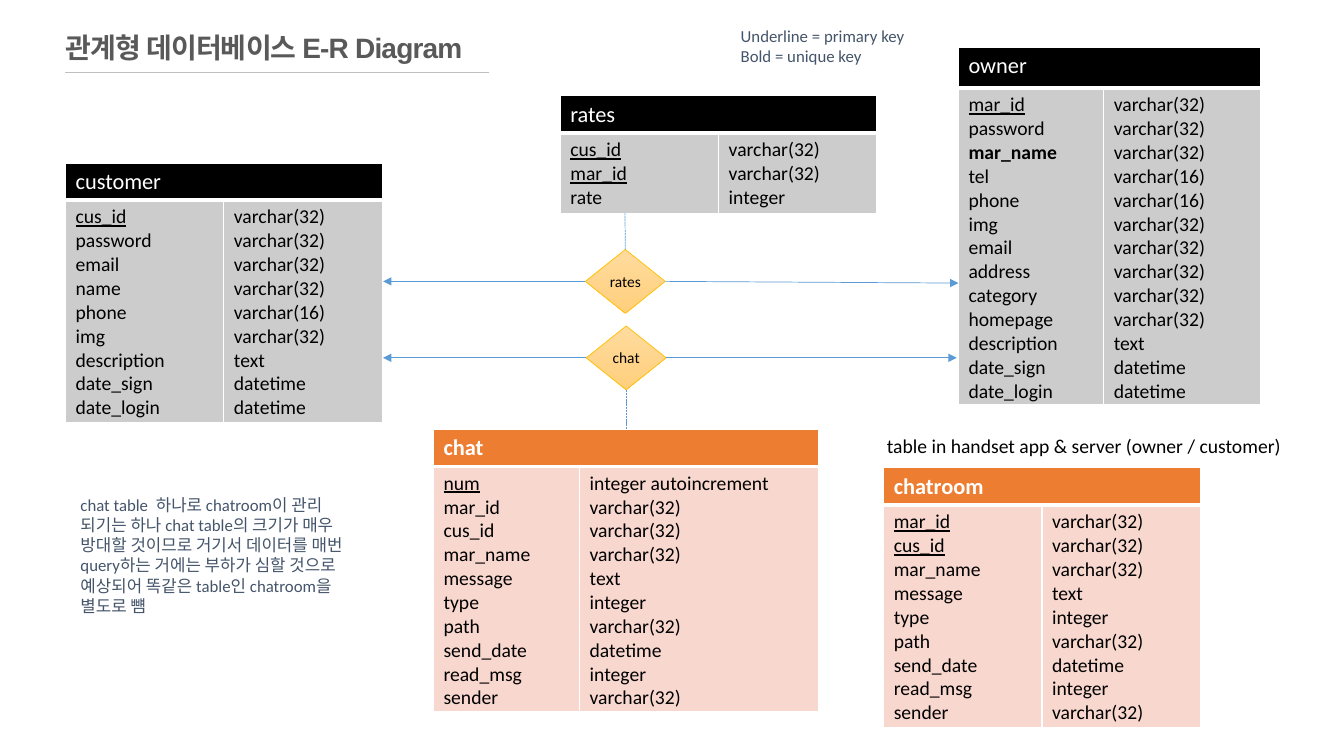
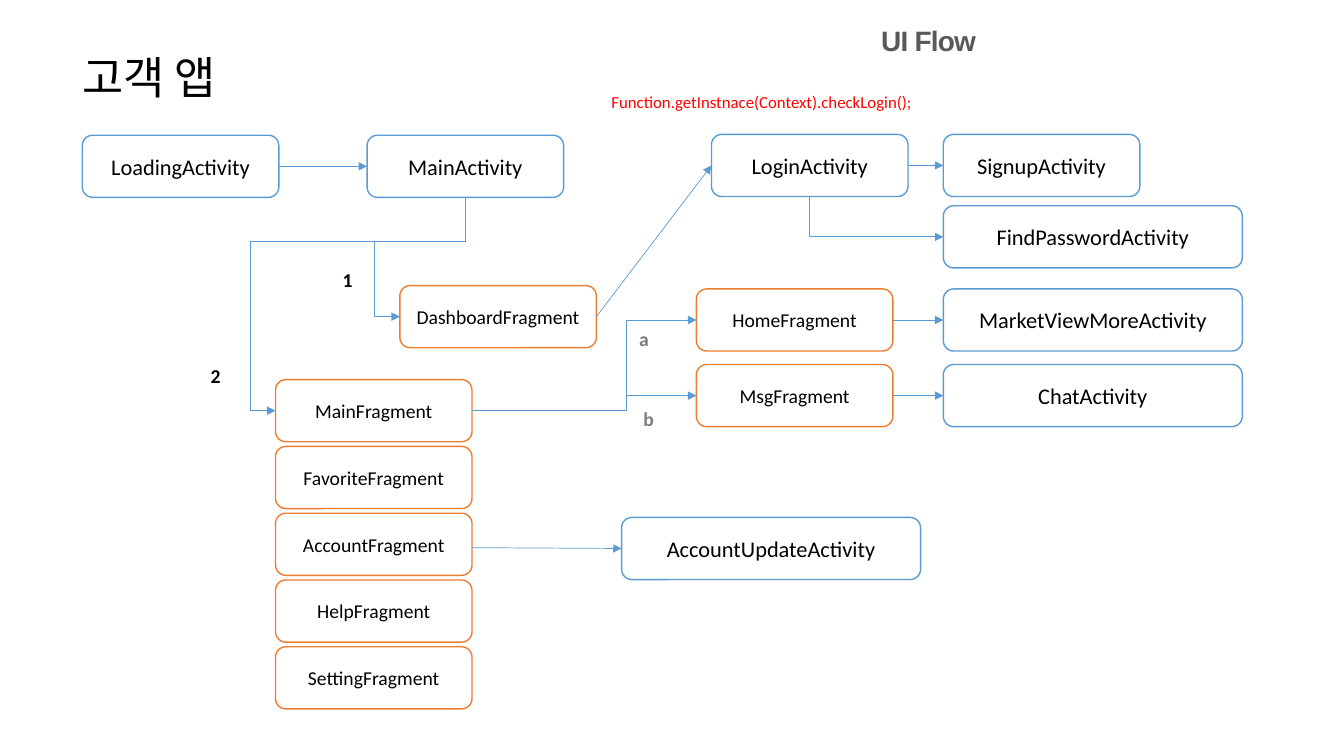
"""Builds the E-R diagram and the UI flow on a grid of 160 columns by 90 rows."""
from dataclasses import dataclass

from lxml.etree import SubElement as Sub
from pptx import Presentation as Deck
from pptx.dml.color import RGBColor as Rgb
from pptx.enum.dml import MSO_LINE as Dash
from pptx.enum.shapes import MSO_CONNECTOR as Link, MSO_SHAPE as Form
from pptx.enum.text import MSO_ANCHOR as Anchor, PP_ALIGN as Align
from pptx.oxml.ns import qn
from pptx.util import Inches, Pt

TOP, LEFT, BOTTOM, RIGHT = range(4)


@dataclass(frozen=True)
class Theme:
    sans: str = "Calibri"
    head: str = "Arial"
    white: str = "FFFFFF"
    black: str = "000000"
    blue: str = "5B9BD5"
    orange: str = "ED7D31"
    gold: str = "FFC000"
    pale: str = "FFDB9E"
    deep: str = "FFD07C"
    gray: str = "CCCCCC"
    pink: str = "F8D7CE"
    title: str = "595959"
    rule: str = "BFBFBF"
    note: str = "44546A"
    mute: str = "7C7C7C"
    red: str = "FF0000"
    huge: int = 32
    large: int = 20
    mid: int = 16
    body: int = 14
    small: int = 12
    tiny: int = 11


class Page:
    def __init__(self, deck, theme):
        self.deck, self.theme = deck, theme
        self.col = deck.slide_width / 160
        self.row = deck.slide_height / 90
        self.slide = None

    def new(self):
        self.slide = self.deck.slides.add_slide(self.deck.slide_layouts[6])

    def grid(self, x, y, w, h):
        return [round(n) for n in (x * self.col, y * self.row, w * self.col, h * self.row)]

    def run(self, para, text, size, color, bold=False, under=False, face=None):
        run = para.add_run()
        run.text = text
        font = run.font
        font.name, font.size = face or self.theme.sans, Pt(size)
        font.bold, font.underline = bold, under
        font.color.rgb = Rgb.from_string(color)
        return run

    def text(self, box, lines, size, color, **look):
        frame = self.slide.shapes.add_textbox(*self.grid(*box)).text_frame
        frame.word_wrap = True
        for i, line in enumerate(lines):
            para = frame.add_paragraph() if i else frame.paragraphs[0]
            self.run(para, line, size, color, **look)
        return frame

    def tight(self, frame):
        frame.margin_left = frame.margin_right = frame.margin_top = frame.margin_bottom = 0

    def title(self, x, y, text):
        t = self.theme
        frame = self.text((x, y, 51.6, 4), [text], t.large, t.title, bold=True, face=t.head)
        self.tight(frame)
        frame.paragraphs[0].runs[0].font._element.set("spc", "-60")

    def shape(self, form, box, text, size, edge, width):
        item = self.slide.shapes.add_shape(form, *self.grid(*box))
        item.shadow.inherit = False
        item.line.color.rgb = Rgb.from_string(edge)
        item.line.width = Pt(width)
        frame = item.text_frame
        frame.word_wrap = True
        frame.vertical_anchor = Anchor.MIDDLE
        para = frame.paragraphs[0]
        para.alignment = Align.CENTER
        self.run(para, text, size, self.theme.black)
        return item

    def box(self, x, y, text, edge, size, wide=23.4):
        item = self.shape(Form.ROUNDED_RECTANGLE, (x, y, wide, 7.4), text, size, edge, 1)
        item.fill.solid()
        item.fill.fore_color.rgb = Rgb.from_string(self.theme.white)
        return item

    def act(self, x, y, text, wide=23.4):
        return self.box(x, y, text, self.theme.blue, self.theme.mid, wide)

    def frag(self, x, y, text):
        return self.box(x, y, text, self.theme.orange, self.theme.body)

    def gem(self, x, y, text):
        t = self.theme
        item = self.shape(Form.DIAMOND, (x, y, 9.5, 7.6), text, t.tiny, t.gold, 0.5)
        self.tight(item.text_frame)
        item.fill.gradient()
        item.fill.gradient_angle = 270
        for stop, color in zip(item.fill.gradient_stops, (t.pale, t.deep)):
            stop.color.rgb = Rgb.from_string(color)
        return item

    def spot(self, end):
        first, second = end
        if isinstance(first, (int, float)):
            return self.grid(first, second, 0, 0)[:2]
        dx, dy = ((0.5, 0), (0, 0.5), (0.5, 1), (1, 0.5))[second]
        return [round(first.left + dx * first.width), round(first.top + dy * first.height)]

    def line(self, start, end, kind=Link.STRAIGHT, tail=True, dash=None, color=None):
        wire = self.slide.shapes.add_connector(kind, *self.spot(start), *self.spot(end))
        for spot, join in ((start, wire.begin_connect), (end, wire.end_connect)):
            if not isinstance(spot[0], (int, float)):
                join(*spot)
        wire.line.color.rgb = Rgb.from_string(color or self.theme.blue)
        wire.line.width = Pt(0.5)
        if dash:
            wire.line.dash_style = dash
        props = wire.element.spPr
        if tail:
            Sub(props.find(qn("a:ln")), qn("a:tailEnd"), type="triangle")
        Sub(props, qn("a:effectLst"))
        return wire

    def bend(self, wire, kind, *shares):
        geom = wire.element.spPr.find(qn("a:prstGeom"))
        geom.set("prst", kind)
        av = geom.find(qn("a:avLst"))
        if av is None:
            av = Sub(geom, qn("a:avLst"))
        for i, share in enumerate(shares, 1):
            Sub(av, qn("a:gd"), name=f"adj{i}", fmla=f"val {round(share * 100000)}")

    def drop(self, start, end, fall=5.2, back=3):
        (x1, y1), (x2, y2) = self.spot(start), self.spot(end)
        wide, high = abs(x2 - x1), y2 - y1
        wire = self.line(start, end, Link.ELBOW)
        wire.width, wire.height = high, wide
        wire.left = round((x1 + x2 - high) / 2)
        wire.top = round((y1 + y2 - wide) / 2)
        turn = wire.element.spPr.find(qn("a:xfrm"))
        turn.attrib.clear()
        if x2 > x1:
            turn.set("rot", "16200000")
            turn.set("flipH", "1")
            self.bend(wire, "bentConnector2")
        else:
            turn.set("rot", "5400000")
            self.bend(wire, "bentConnector4", fall * self.row / high, 1 + back * self.col / wide)

    def fill(self, cell, color, base):
        props = cell._tc.get_or_add_tcPr()
        for side in "LRTB":
            edge = Sub(props, qn(f"a:ln{side}"), w=str(Pt(base if side == "B" else 1)))
            Sub(Sub(edge, qn("a:solidFill")), qn("a:srgbClr"), val=self.theme.white)
        cell.fill.solid()
        cell.fill.fore_color.rgb = Rgb.from_string(color)

    def table(self, x, y, name, rows, keys, cols=(18.85, 18.85), uniq=(), app=False, top=4.45):
        t = self.theme
        deep, pale = (t.orange, t.pink) if app else (t.black, t.gray)
        body = 2.84 * len(rows) + 0.8
        frame = self.slide.shapes.add_table(2, 2, *self.grid(x, y, sum(cols), top + body))
        grid = frame.table
        grid.first_row = grid.horz_banding = False
        for i, (wide, high) in enumerate(zip(cols, (top, body))):
            grid.columns[i].width = round(wide * self.col)
            grid.rows[i].height = round(high * self.row)
            self.fill(grid.cell(0, i), deep, 3)
            self.fill(grid.cell(1, i), pale, 1)
            area = grid.cell(1, i).text_frame
            for j, pair in enumerate(rows):
                para = area.add_paragraph() if j else area.paragraphs[0]
                word = pair[i]
                self.run(para, word, t.body, t.black, word in uniq, word in keys)
        grid.cell(0, 0).merge(grid.cell(0, 1))
        self.run(grid.cell(0, 0).text_frame.paragraphs[0], name, t.mid, t.white, app)
        return frame


def model(page):
    t = page.theme
    char, short = "varchar(32)", "varchar(16)"
    cus, mar = ("cus_id", char), ("mar_id", char)
    word, mail, img = ("password", char), ("email", char), ("img", char)
    phone = ("phone", short)
    dates = [("description", "text"), ("date_sign", "datetime"), ("date_login", "datetime")]
    talk = [("mar_name", char), ("message", "text"), ("type", "integer"), ("path", char),
            ("send_date", "datetime"), ("read_msg", "integer"), ("sender", char)]
    page.new()
    page.title(7.8, 3.6, "관계형 데이터베이스 E-R Diagram")
    page.line((7.8, 8.6), (58.2, 8.6), tail=False, color=t.rule)
    page.table(7.8, 19.4, "customer",
               [cus, word, mail, ("name", char), phone, img, *dates], ["cus_id"])
    page.table(114.1, 5.6, "owner",
               [mar, word, ("mar_name", char), ("tel", short), phone, img, mail,
                ("address", char), ("category", char), ("homepage", char), *dates],
               ["mar_id"], (17.3, 18.7), ["mar_name"], top=4.9)
    page.table(66.7, 11.4, "rates", [cus, mar, ("rate", "integer")], ["cus_id", "mar_id"])
    chat = page.table(51.6, 51.1, "chat",
                      [("num", "integer autoincrement"), mar, cus, *talk],
                      ["num"], (17.4, 28.5), app=True)
    page.table(105.2, 55.7, "chatroom", [mar, cus, *talk], ["mar_id", "cus_id"], app=True)
    rate, say = page.gem(69.7, 29.7, "rates"), page.gem(69.8, 38.8, "chat")
    for gem, left, right in ((rate, (45.6, 33.5), (114.1, 33.7)),
                             (say, (45.6, 42.6), (113.9, 42.6))):
        page.line((gem, LEFT), left)
        page.line((gem, RIGHT), right)
    page.line((rate, TOP), (74.4, 25.4), tail=False, dash=Dash.SQUARE_DOT)
    page.line((chat, TOP), (say, BOTTOM), tail=False, dash=Dash.SQUARE_DOT)
    page.text((104.4, 51.1, 52.2, 4), ["table in handset app & server (owner / customer)"],
              t.body, t.black)
    page.text((8.4, 58.3, 36.5, 15.7),
              ["chat table  하나로 chatroom이 관리 되기는 하나 chat table의 크기가 매우 "
               "방대할 것이므로 거기서 데이터를 매번 query하는 거에는 부하가 심할 것으로 "
               "예상되어 똑같은 table인 chatroom을 별도로 뻄"], t.small, t.note)
    page.text((87, 2.5, 36.5, 6), ["Underline = primary key", "Bold = unique key"],
              t.small, t.note)


def flow(page):
    t = page.theme
    page.new()
    page.title(104.9, 2.8, "UI Flow")
    head = page.text((8.6, 4.8, 138, 9.5), ["고객 앱"], t.huge, t.black)
    head.vertical_anchor = Anchor.MIDDLE
    head.paragraphs[0].line_spacing = 0.9
    load = page.act(9.8, 16.1, "LoadingActivity")
    main = page.act(43.7, 16.1, "MainActivity")
    login = page.act(84.7, 16, "LoginActivity")
    sign = page.act(112.3, 16, "SignupActivity")
    find = page.act(112.3, 24.5, "FindPasswordActivity", 35.6)
    shop = page.act(112.3, 34.4, "MarketViewMoreActivity", 35.6)
    chat = page.act(112.3, 43.4, "ChatActivity", 35.6)
    edit = page.act(74, 61.6, "AccountUpdateActivity", 35.6)
    dash = page.frag(47.6, 34, "DashboardFragment")
    home = page.frag(82.9, 34.4, "HomeFragment")
    msg = page.frag(82.9, 43.4, "MsgFragment")
    names = ("Main", "Favorite", "Account", "Help", "Setting")
    tabs = [page.frag(32.8, 45.2 + 7.95 * i, f"{name}Fragment") for i, name in enumerate(names)]
    for a, b in ((load, main), (login, sign), (dash, login), (home, shop), (msg, chat)):
        page.line((a, RIGHT), (b, LEFT))
    page.line((56.2, 65.2), (edit, LEFT))
    for a, b in ((main, dash), (main, tabs[0]), (login, find)):
        page.drop((a, BOTTOM), (b, LEFT))
    for goal in (home, msg):
        wire = page.line((tabs[0], RIGHT), (goal, LEFT), Link.ELBOW)
        page.bend(wire, "bentConnector3", 0.69)
    page.text((71.6, 10.3, 51.8, 3.6), ["Function.getInstnace(Context).checkLogin();"],
              t.small, t.red)
    for x, y, mark, color in ((39.6, 31.3, "1", t.black), (23.9, 42.7, "2", t.black),
                              (74.9, 38.3, "a", t.mute), (75.4, 47.8, "b", t.mute)):
        page.text((x, y, 8, 4), [mark], t.body, color, bold=True)


def main():
    deck = Deck()
    deck.slide_width, deck.slide_height = Inches(13.33), Inches(7.5)
    page = Page(deck, Theme())
    model(page)
    flow(page)
    deck.save("out.pptx")


if __name__ == "__main__":
    main()
